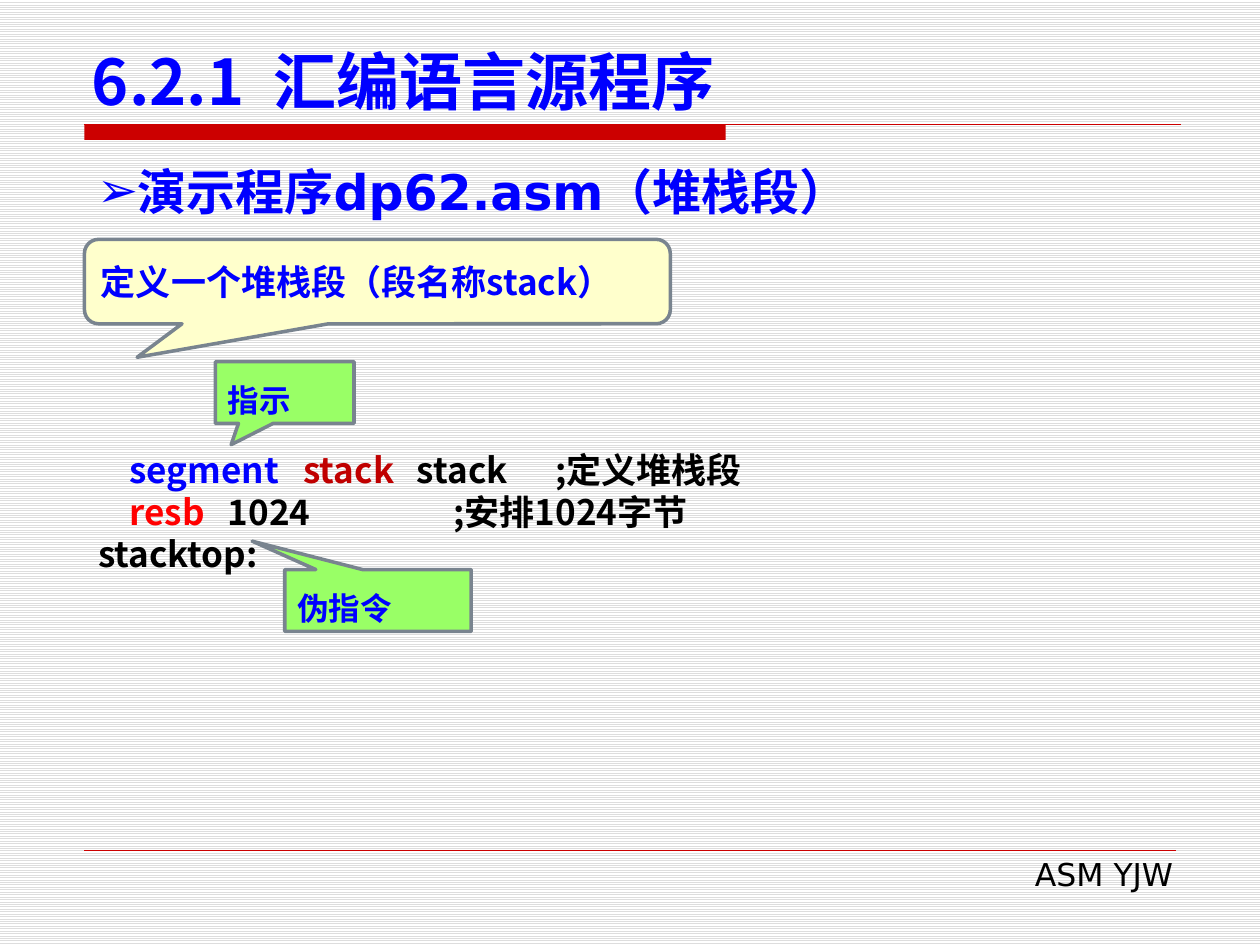
from lxml import etree
from pptx import Presentation
from pptx.dml.color import RGBColor
from pptx.enum.dml import MSO_PATTERN
from pptx.enum.shapes import MSO_CONNECTOR, MSO_SHAPE
from pptx.enum.text import MSO_ANCHOR, MSO_AUTO_SIZE, PP_ALIGN
from pptx.oxml.ns import qn
from pptx.util import Inches, Pt

LEFT, RIGHT = PP_ALIGN.LEFT, PP_ALIGN.RIGHT
TOP, MIDDLE, BOTTOM = MSO_ANCHOR.TOP, MSO_ANCHOR.MIDDLE, MSO_ANCHOR.BOTTOM
RECT, ROUND = MSO_SHAPE.RECTANGULAR_CALLOUT, MSO_SHAPE.ROUNDED_RECTANGULAR_CALLOUT

BLUE = RGBColor(0x00, 0x00, 0xFF)
BLACK = RGBColor(0x00, 0x00, 0x00)
WHITE = RGBColor(0xFF, 0xFF, 0xFF)
STRIPE = RGBColor(0xDD, 0xDD, 0xDD)
RED = RGBColor(0xFF, 0x00, 0x00)
DARK_RED = RGBColor(0xC0, 0x00, 0x00)
RULE_RED = RGBColor(0xCC, 0x00, 0x00)
GREEN = RGBColor(0x99, 0xFF, 0x66)
CREAM = RGBColor(0xFF, 0xFF, 0xCC)
GREY = RGBColor(0x79, 0x84, 0x8F)
SANS, CJK = "DejaVu Sans", "Noto Sans CJK SC"

# Content
TITLE = "6.2.1  汇编语言源程序"
HEADING = "演示程序dp62.asm（堆栈段）"
FOOTER = "ASM YJW"
# Each code line: (tab stop in inches, text, colour)
CODE = [
    [(0.25, "segment", BLUE), (1.63, "stack", DARK_RED), (2.53, "stack", BLACK),
     (3.63, ";定义堆栈段", BLACK)],
    [(0.25, "resb", RED), (1.03, "1024", BLACK), (2.82, ";安排1024字节", BLACK)],
    [(0, "stacktop:", BLACK)],
]
# Callouts: shape, box, adjustments, fill, text, size, font, line spacing
CALLOUTS = [
    (RECT, (2.26, 4.52, 1.48, 0.49), (-0.675, -0.96), GREEN, "伪指令", 18, SANS, Pt(30)),
    (RECT, (1.71, 2.87, 1.1, 0.49), (-0.386, 0.845), GREEN, "指示", 18, SANS, Pt(30)),
    (ROUND, (0.67, 1.9, 4.65, 0.67), (-0.41, 0.897, 0.167), CREAM,
     "定义一个堆栈段（段名称stack）", 20, CJK, None),
]


def style(r, size, font, color, bold=True):
    r.font.size, r.font.name, r.font.bold = Pt(size), font, bold
    r.font.color.rgb = color
    etree.SubElement(r._r.get_or_add_rPr(), qn("a:ea")).set("typeface", font)


def write(s, text, size, font, color, align=LEFT, anchor=TOP, bold=True):
    tf = s.text_frame
    tf.word_wrap, tf.auto_size, tf.vertical_anchor = True, MSO_AUTO_SIZE.NONE, anchor
    tf.text = text
    p = tf.paragraphs[0]
    p.alignment, p.space_before = align, Pt(0)
    style(p.runs[0], size, font, color, bold)
    return p


def place(s, box):
    s.left, s.top, s.width, s.height = map(Inches, box)


def add_line(x1, x2, y, width):
    s = slide.shapes.add_connector(MSO_CONNECTOR.STRAIGHT, *map(Inches, (x1, y, x2, y)))
    s.line.color.rgb, s.line.width = RULE_RED, Pt(width)
    etree.SubElement(s._element.spPr, qn("a:effectLst"))


prs = Presentation()
prs.slide_width, prs.slide_height = Inches(10), Inches(7.5)
slide = prs.slides.add_slide(prs.slide_layouts[1])
title, body = slide.placeholders

# Striped background
fill = slide.background.fill
fill.patterned()
fill.pattern = MSO_PATTERN.LIGHT_HORIZONTAL
fill.fore_color.rgb, fill.back_color.rgb = STRIPE, WHITE

# Title rule and footer
bar = slide.shapes.add_shape(MSO_SHAPE.RECTANGLE, *map(Inches, (0.67, 0.99, 5.09, 0.12)))
bar.shadow.inherit = False
bar.fill.solid()
bar.fill.fore_color.rgb = RULE_RED
bar.line.fill.background()
add_line(0.67, 9.37, 0.99, 0.75)
add_line(0.67, 9.33, 6.75, 0.25)
footer = slide.shapes.add_textbox(*map(Inches, (3.82, 6.74, 5.59, 0.4)))
write(footer, FOOTER, 18, SANS, BLACK, RIGHT, bold=False)

# Title and bulleted heading
place(title, (0.63, 0.33, 8.75, 0.66))
write(title, TITLE, 36, CJK, BLUE, anchor=BOTTOM)
place(body, (0.67, 1.23, 8.66, 0.57))
p = write(body, HEADING, 28, SANS, BLUE)
pPr = p._p.get_or_add_pPr()
pPr.set("marL", "0")
pPr.set("indent", "0")
etree.SubElement(pPr, qn("a:buChar")).set("char", "➢")

# Code listing, aligned with tab stops
tf = slide.shapes.add_textbox(*map(Inches, (0.68, 3.51, 7.56, 1.11))).text_frame
tf.word_wrap = True
for i, line in enumerate(CODE):
    p = tf.paragraphs[0] if i == 0 else tf.add_paragraph()
    p.line_spacing = Pt(24)
    tabs = etree.SubElement(p._p.get_or_add_pPr(), qn("a:tabLst"))
    for stop, text, color in line:
        r = p.add_run()
        r.text = "\t" + text if stop else text
        style(r, 20, CJK, color)
        if stop:
            tab = etree.SubElement(tabs, qn("a:tab"))
            tab.set("pos", str(Inches(stop)))
            tab.set("algn", "l")

# Callouts
for kind, box, adjustments, color, text, size, font, spacing in CALLOUTS:
    s = slide.shapes.add_shape(kind, *map(Inches, box))
    s.shadow.inherit = False
    s.fill.solid()
    s.fill.fore_color.rgb = color
    s.line.color.rgb, s.line.width = GREY, Pt(2)
    for i, value in enumerate(adjustments):
        s.adjustments[i] = value
    p = write(s, text, size, font, BLUE, anchor=MIDDLE)
    p.line_spacing = spacing

prs.save("out.pptx")
